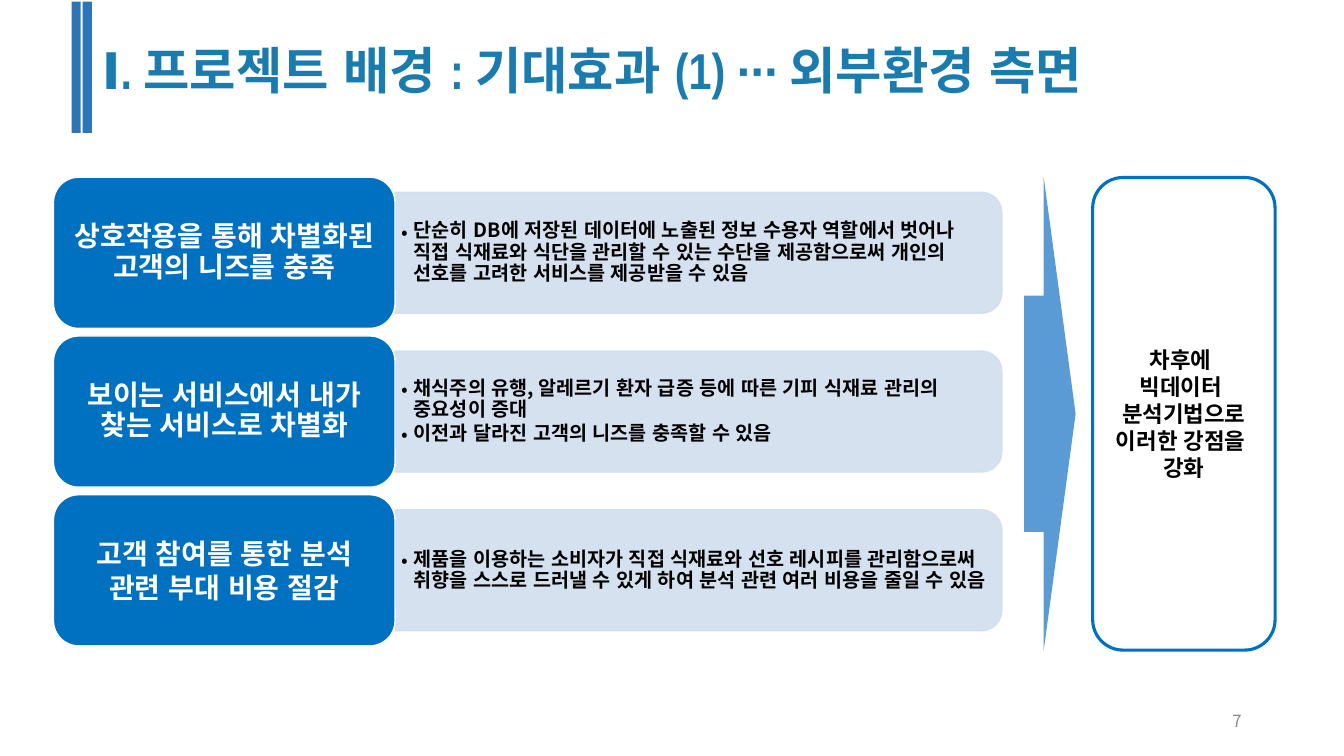
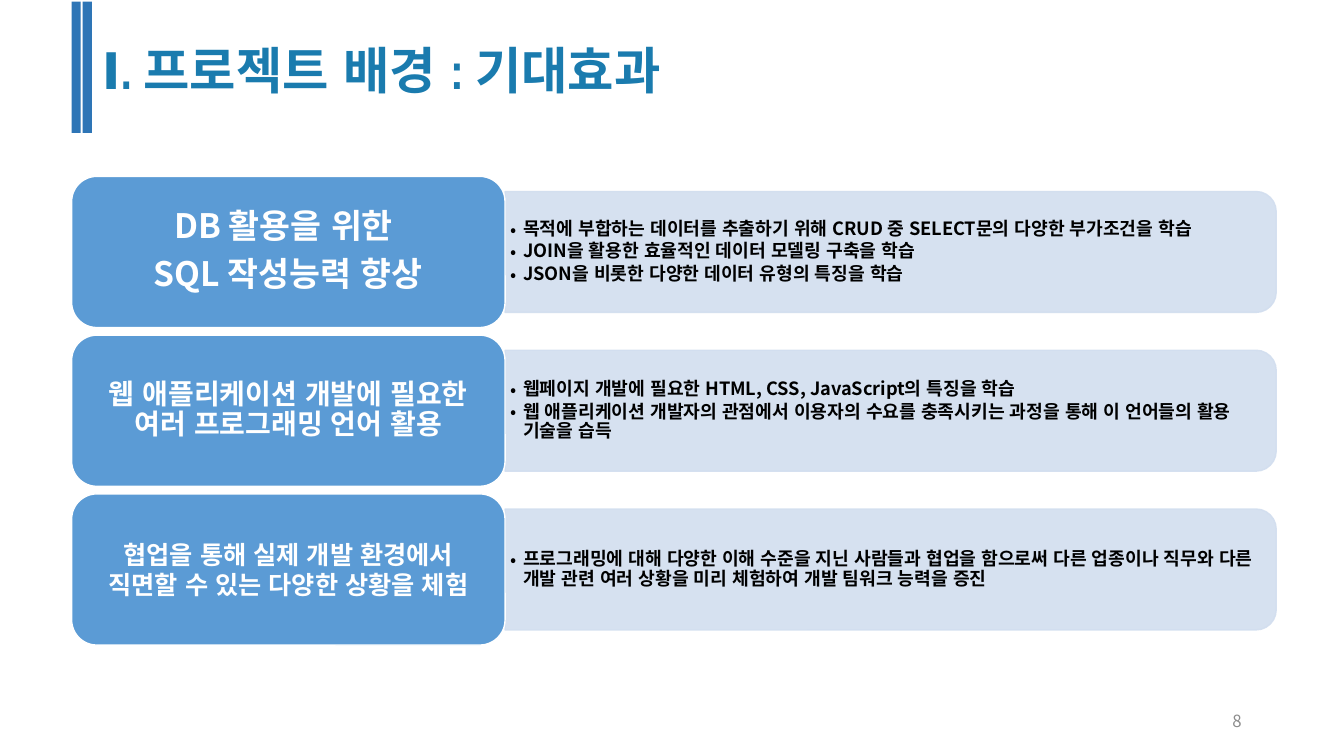
from dataclasses import dataclass

from lxml.etree import SubElement
from pptx import Presentation
from pptx.dml.color import RGBColor
from pptx.enum.lang import MSO_LANGUAGE_ID
from pptx.enum.shapes import MSO_SHAPE
from pptx.enum.text import MSO_ANCHOR, MSO_AUTO_SIZE, PP_ALIGN
from pptx.oxml.ns import qn
from pptx.util import Pt


@dataclass(frozen=True)
class Theme:
    bar: str = "2E75B6"
    title: str = "1A7BAE"
    strong: str = "0070C0"
    accent: str = "5B9BD5"
    panel: str = "D2DEEF"
    text: str = "000000"
    white: str = "FFFFFF"
    muted: str = "8C8C8C"
    font: str = "Noto Sans CJK KR"
    title_font: str = "Arial Narrow"
    title_size: int = 36
    outcome_size: int = 16
    number_size: int = 12


THEME = Theme()

# Content: each row is (label lines, label size, label line spacing, points)
SLIDES = [
    {
        "title": "Ⅰ. 프로젝트 배경 : 기대효과 (1) ∙∙∙ 외부환경 측면",
        "number": "7",
        "label_fill": THEME.strong,
        "point_size": 14,
        "point_inset": 4.4,
        "grid": {"left": 38.2, "top": 126.6, "label_width": 244, "panel_width": 433.4},
        "rows": [
            (["상호작용을 통해 차별화된 고객의 니즈를 충족"], 20, 0.9,
             ["단순히 DB에 저장된 데이터에 노출된 정보 수용자 역할에서 벗어나 직접 식재료와 식단을 "
              "관리할 수 있는 수단을 제공함으로써 개인의 선호를 고려한 서비스를 제공받을 수 있음"]),
            (["보이는 서비스에서 내가 찾는 서비스로 차별화"], 20, 0.9,
             ["채식주의 유행, 알레르기 환자 급증 등에 따른 기피 식재료 관리의 중요성이 증대",
              "이전과 달라진 고객의 니즈를 충족할 수 있음"]),
            (["고객 참여를 통한 분석 관련 부대 비용 절감"], 20, 1.0,
             ["제품을 이용하는 소비자가 직접 식재료와 선호 레시피를 관리함으로써 "
              "취향을 스스로 드러낼 수 있게 하여 분석 관련 여러 비용을 줄일 수 있음"]),
        ],
        "outcome": ["차후에 ", "빅데이터 ", "분석기법으로 이러한 강점을 ", "강화"],
    },
    {
        "title": "Ⅰ. 프로젝트 배경 : 기대효과",
        "number": "8",
        "label_fill": THEME.accent,
        "point_size": 13,
        "point_inset": 3.9,
        "grid": {"left": 51.2, "top": 126, "label_width": 309.6, "panel_width": 550.8},
        "rows": [
            (["DB 활용을 위한 ", "SQL 작성능력 향상"], 24, 0.9,
             ["목적에 부합하는 데이터를 추출하기 위해 CRUD 중 SELECT문의 다양한 부가조건을 학습",
              "JOIN을 활용한 효율적인 데이터 모델링 구축을 학습",
              "JSON을 비롯한 다양한 데이터 유형의 특징을 학습"]),
            (["웹 애플리케이션 개발에 필요한 여러 프로그래밍 언어 활용"], 20, 0.9,
             ["웹페이지 개발에 필요한 HTML, CSS, JavaScript의 특징을 학습",
              "웹 애플리케이션 개발자의 관점에서 이용자의 수요를 충족시키는 과정을 통해 "
              "이 언어들의 활용 기술을 습득"]),
            (["협업을 통해 실제 개발 환경에서 직면할 수 있는 다양한 상황을 체험"], 18, 1.0,
             ["프로그래밍에 대해 다양한 이해 수준을 지닌 사람들과 협업을 함으로써 다른 업종이나 직무와 다른 "
              "개발 관련 여러 상황을 미리 체험하여 개발 팀워크 능력을 증진"]),
        ],
        "outcome": None,
    },
]

# Row measures
LABEL_HEIGHT = 108
ROW_PITCH = 113.4
PANEL_HEIGHT = 86.4
POINTS_HEIGHT = 78
HANGING = 9


def write(frame, lines, *, size, color, font=THEME.font, bold=True, align=PP_ALIGN.LEFT,
          anchor=MSO_ANCHOR.MIDDLE, inset=(7.2, 3.6), spacing=1.0, after=0, bullet=None):
    """Fill a text frame, one paragraph per line; after is a share of the size."""
    frame.word_wrap = True
    frame.auto_size = MSO_AUTO_SIZE.NONE
    frame.vertical_anchor = anchor
    frame.margin_left = frame.margin_right = Pt(inset[0])
    frame.margin_top = frame.margin_bottom = Pt(inset[1])
    for index, line in enumerate(lines):
        paragraph = frame.add_paragraph() if index else frame.paragraphs[0]
        if bullet:
            properties = paragraph._p.get_or_add_pPr()
            properties.set("marL", str(Pt(HANGING)))
            properties.set("indent", str(-Pt(HANGING)))
            SubElement(properties, qn("a:buFont")).set("typeface", THEME.font)
            SubElement(properties, qn("a:buChar")).set("char", bullet)
        paragraph.alignment = align
        paragraph.line_spacing = spacing
        paragraph.space_after = Pt(size * after)
        run = paragraph.add_run()
        run.text = line
        run.font.name = font
        run.font.size = Pt(size)
        run.font.bold = bold
        run.font.color.rgb = RGBColor.from_string(color)
        run.font.language_id = MSO_LANGUAGE_ID.KOREAN
        SubElement(run._r.get_or_add_rPr(), qn("a:ea")).set("typeface", THEME.font)


def add_block(slide, preset, left, top, width, height, fill=None, line=None, line_width=1):
    block = slide.shapes.add_shape(preset, Pt(left), Pt(top), Pt(width), Pt(height))
    block.shadow.inherit = False
    if fill:
        block.fill.solid()
        block.fill.fore_color.rgb = RGBColor.from_string(fill)
    else:
        block.fill.background()
    if line:
        block.line.color.rgb = RGBColor.from_string(line)
        block.line.width = Pt(line_width)
    else:
        block.line.fill.background()
    return block


def add_textbox(slide, left, top, width, height):
    return slide.shapes.add_textbox(Pt(left), Pt(top), Pt(width), Pt(height)).text_frame


def add_panel(slide, left, middle, width):
    """Panel with round right corners: an upright shape turned by 90 degrees."""
    panel = add_block(slide, MSO_SHAPE.ROUND_2_SAME_RECTANGLE,
                      left + (width - PANEL_HEIGHT) / 2, middle - width / 2,
                      PANEL_HEIGHT, width, THEME.panel, THEME.panel)
    panel.rotation = 90
    for color in panel._element.spPr.iter(qn("a:srgbClr")):
        SubElement(color, qn("a:alpha")).set("val", "90000")


def add_frame(slide, title, number):
    """Title, twin bars and page number shared by all slides."""
    heading = slide.shapes.title
    heading.left, heading.top, heading.width, heading.height = map(Pt, (65.5, 24.5, 754.5, 51))
    write(heading.text_frame, [title], size=THEME.title_size, color=THEME.title,
          font=THEME.title_font, anchor=MSO_ANCHOR.TOP)
    for left in (51.1, 59.1):
        add_block(slide, MSO_SHAPE.RECTANGLE, left, 1.2, 6.5, 93.8, THEME.bar)
    write(add_textbox(slide, 678, 500.5, 216, 28.8), [number], size=THEME.number_size,
          color=THEME.muted, bold=False, align=PP_ALIGN.RIGHT)


def add_rows(slide, content):
    grid = content["grid"]
    panel_left = grid["left"] + grid["label_width"]
    for index, (label, size, spacing, points) in enumerate(content["rows"]):
        top = grid["top"] + index * ROW_PITCH
        middle = top + LABEL_HEIGHT / 2
        add_panel(slide, panel_left, middle, grid["panel_width"])
        points_frame = add_textbox(slide, panel_left, middle - POINTS_HEIGHT / 2,
                                   grid["panel_width"] - 4.2, POINTS_HEIGHT)
        write(points_frame, points, size=content["point_size"], color=THEME.text,
              inset=(content["point_inset"], 2.2), spacing=0.9, after=0.15, bullet="•")
        block = add_block(slide, MSO_SHAPE.ROUNDED_RECTANGLE, grid["left"], top,
                          grid["label_width"], LABEL_HEIGHT, content["label_fill"], THEME.white)
        write(block.text_frame, label, size=size, color=THEME.white, align=PP_ALIGN.CENTER,
              inset=(5.5, 2.9), spacing=spacing, after=0.35)


def add_outcome(slide, lines):
    """Arrow from the rows to the outcome box."""
    top, height = 126.8, 337.6
    box = add_block(slide, MSO_SHAPE.ROUNDED_RECTANGLE, 780.5, top, 130.3, height,
                    line=THEME.strong, line_width=2.25)
    write(box.text_frame, lines, size=THEME.outcome_size, color=THEME.text,
          align=PP_ALIGN.CENTER)
    arrow = add_block(slide, MSO_SHAPE.RIGHT_ARROW, 731.6, top, 36.7, height, THEME.accent)
    arrow.adjustments[0], arrow.adjustments[1] = 0.5, 0.62


def main():
    deck = Presentation()
    deck.slide_width, deck.slide_height = Pt(960), Pt(540)
    for content in SLIDES:
        slide = deck.slides.add_slide(deck.slide_layouts[5])
        add_frame(slide, content["title"], content["number"])
        add_rows(slide, content)
        if content["outcome"]:
            add_outcome(slide, content["outcome"])
    deck.save("out.pptx")


if __name__ == "__main__":
    main()
